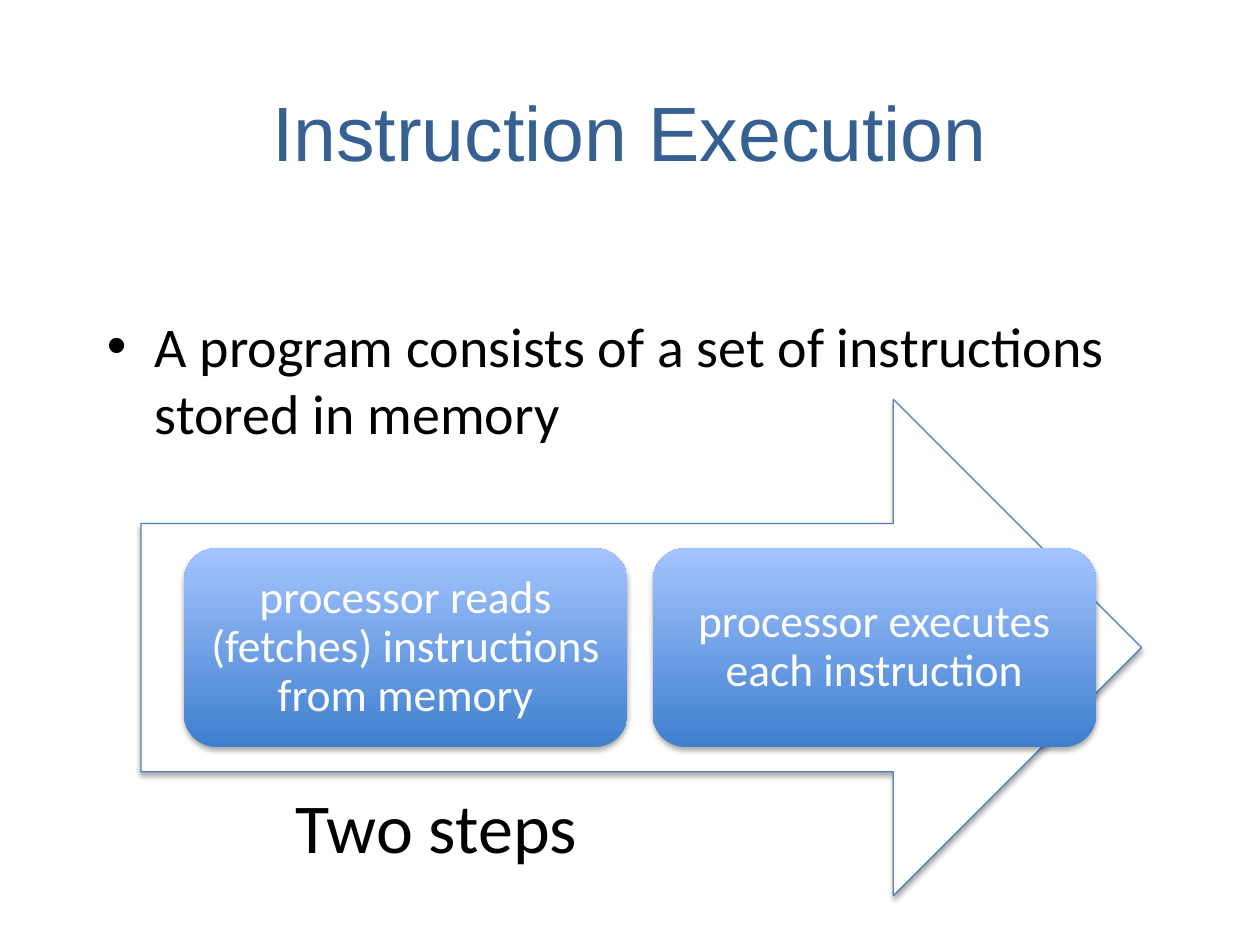
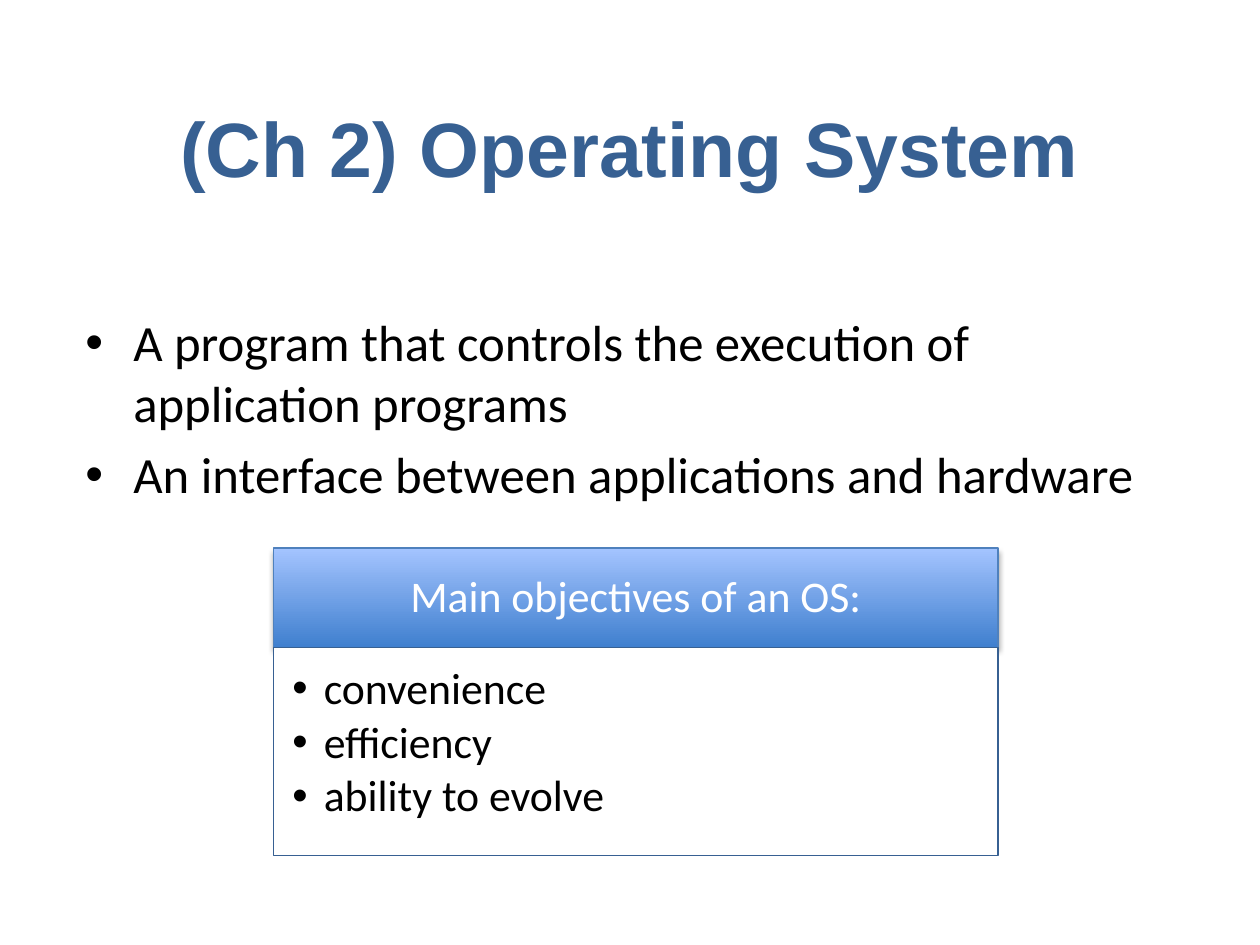
from dataclasses import dataclass

import pptx
import pptx.dml.color
import pptx.enum.shapes
import pptx.enum.text
import pptx.oxml
import pptx.oxml.ns
import pptx.util
from pptx.util import Inches

SHAPE = pptx.enum.shapes.MSO_SHAPE
ALIGN = pptx.enum.text.PP_ALIGN
ANCHOR = pptx.enum.text.MSO_ANCHOR

TITLE_BLUE = "376092"
EDGE_BLUE = "4F81BD"
GRADIENT = ("3F7FCE", "A4C4FF")
WHITE = "FFFFFF"
BLACK = "000000"


@dataclass(frozen=True)
class Box:
    left: float
    top: float
    width: float
    height: float


@dataclass(frozen=True)
class Style:
    size: float
    color: str = BLACK
    font: str = "Calibri"
    bold: bool = False
    align: ALIGN = ALIGN.LEFT
    anchor: ANCHOR = ANCHOR.TOP
    insets: tuple[float, float, float, float] = (0.1, 0.05, 0.1, 0.05)
    indent: float = 0
    line_spacing: float = 1.0
    gap: float = 0


@dataclass(frozen=True)
class Panel:
    box: Box
    kind: SHAPE
    fill: str | tuple[str, str]
    edge: str | None = None
    shadow: bool = True


def rgb(value: str) -> pptx.dml.color.RGBColor:
    return pptx.dml.color.RGBColor.from_string(value)


def bounds(box: Box) -> list[int]:
    return [Inches(length) for length in (box.left, box.top, box.width, box.height)]


def add_bullet(paragraph, indent: float) -> None:
    properties = paragraph._p.get_or_add_pPr()
    properties.set("marL", str(Inches(indent)))
    properties.set("indent", str(-Inches(indent)))
    namespace = pptx.oxml.ns.nsdecls("a")
    properties.append(pptx.oxml.parse_xml(f'<a:buFont {namespace} typeface="Arial"/>'))
    properties.append(pptx.oxml.parse_xml(f'<a:buChar {namespace} char="•"/>'))


def write(shape, lines: list[str], style: Style) -> None:
    frame = shape.text_frame
    frame.word_wrap = True
    frame.vertical_anchor = style.anchor
    frame.margin_left, frame.margin_top, frame.margin_right, frame.margin_bottom = (
        Inches(inset) for inset in style.insets
    )
    for index, line in enumerate(lines):
        paragraph = frame.add_paragraph() if index else frame.paragraphs[0]
        paragraph.alignment = style.align
        paragraph.line_spacing = style.line_spacing
        if index:
            paragraph.space_before = pptx.util.Pt(style.gap)
        if style.indent:
            add_bullet(paragraph, style.indent)
        run = paragraph.add_run()
        run.text = line
        run.font.name = style.font
        run.font.size = pptx.util.Pt(style.size)
        run.font.bold = style.bold
        run.font.color.rgb = rgb(style.color)


def add_text(slide, box: Box, lines: list[str], style: Style) -> None:
    write(slide.shapes.add_textbox(*bounds(box)), lines, style)


def add_panel(slide, panel: Panel, lines: list[str], style: Style) -> None:
    shape = slide.shapes.add_shape(panel.kind, *bounds(panel.box))
    if isinstance(panel.fill, tuple):
        shape.fill.gradient()
        shape.fill.gradient_angle = 90
        for stop, color in zip(shape.fill.gradient_stops, panel.fill):
            stop.color.rgb = rgb(color)
    else:
        shape.fill.solid()
        shape.fill.fore_color.rgb = rgb(panel.fill)
    if panel.edge:
        shape.line.color.rgb = rgb(panel.edge)
        shape.line.width = pptx.util.Pt(0.75)
    else:
        shape.line.fill.background()
    shape.shadow.inherit = False
    if panel.shadow:
        effects = shape._element.spPr.find(pptx.oxml.ns.qn("a:effectLst"))
        effects.append(pptx.oxml.parse_xml(
            f'<a:outerShdw {pptx.oxml.ns.nsdecls("a")} blurRad="40000" dist="23000" '
            f'dir="5400000" rotWithShape="0"><a:srgbClr val="{BLACK}">'
            '<a:alpha val="35000"/></a:srgbClr></a:outerShdw>'
        ))
    if lines:
        write(shape, lines, style)


def add_title(slide, text: str, height: float, bold: bool = False) -> None:
    style = Style(44, TITLE_BLUE, "Arial", bold, ALIGN.CENTER, ANCHOR.MIDDLE)
    add_text(slide, Box(0.72, 0.5, 8.56, height), [text], style)


def label_style(size: float, side: float) -> Style:
    return Style(size, WHITE, align=ALIGN.CENTER, anchor=ANCHOR.MIDDLE,
                 insets=(side, 0.11, side, 0.11), line_spacing=0.9)


def build_execution(slide) -> None:
    add_title(slide, "Instruction Execution", 1.08)
    add_text(slide, Box(0.75, 2.42, 8.58, 2),
             ["A program consists of a set of instructions stored in memory"],
             Style(32, indent=0.38))
    label = label_style(26, 0.11)
    add_panel(slide, Panel(Box(1.12, 3.17, 7.94, 3.94), SHAPE.RIGHT_ARROW, WHITE, EDGE_BLUE),
              [], label)
    steps = ["processor reads (fetches) instructions from memory",
             "processor executes each instruction"]
    step_width, step_gap = 3.52, 0.2
    for index, step in enumerate(steps):
        box = Box(1.46 + index * (step_width + step_gap), 4.35, step_width, 1.58)
        add_panel(slide, Panel(box, SHAPE.ROUNDED_RECTANGLE, GRADIENT), [step], label)
    add_text(slide, Box(2.25, 6.17, 4.17, 1.08), ["Two steps"], Style(40))


def build_operating_system(slide) -> None:
    add_title(slide, "(Ch 2) Operating System", 1.33, bold=True)
    add_text(slide, Box(0.58, 2.42, 9, 5.08),
             ["A program that controls the execution of application programs",
              "An interface between applications and hardware"],
             Style(29, indent=0.38, gap=5.8))
    left, top, width, header_height = 2.17, 4.35, 5.75, 0.79
    header = Box(left, top, width, header_height)
    objectives = Box(left, top + header_height, width, 1.65)
    add_panel(slide, Panel(header, SHAPE.RECTANGLE, GRADIENT, EDGE_BLUE),
              ["Main objectives of an OS:"], label_style(25, 0.19))
    add_panel(slide, Panel(objectives, SHAPE.RECTANGLE, WHITE, TITLE_BLUE, shadow=False),
              ["convenience", "efficiency", "ability to evolve"],
              Style(25, insets=(0.15, 0.15, 0.19, 0.22), indent=0.25,
                    line_spacing=0.9, gap=3.75))


def main() -> None:
    deck = pptx.Presentation()
    deck.slide_width, deck.slide_height = Inches(10), Inches(7.5)
    for build in (build_execution, build_operating_system):
        slide = deck.slides.add_slide(deck.slide_layouts[6])
        slide.background.fill.solid()
        slide.background.fill.fore_color.rgb = rgb(WHITE)
        build(slide)
    deck.save("out.pptx")


if __name__ == "__main__":
    main()
